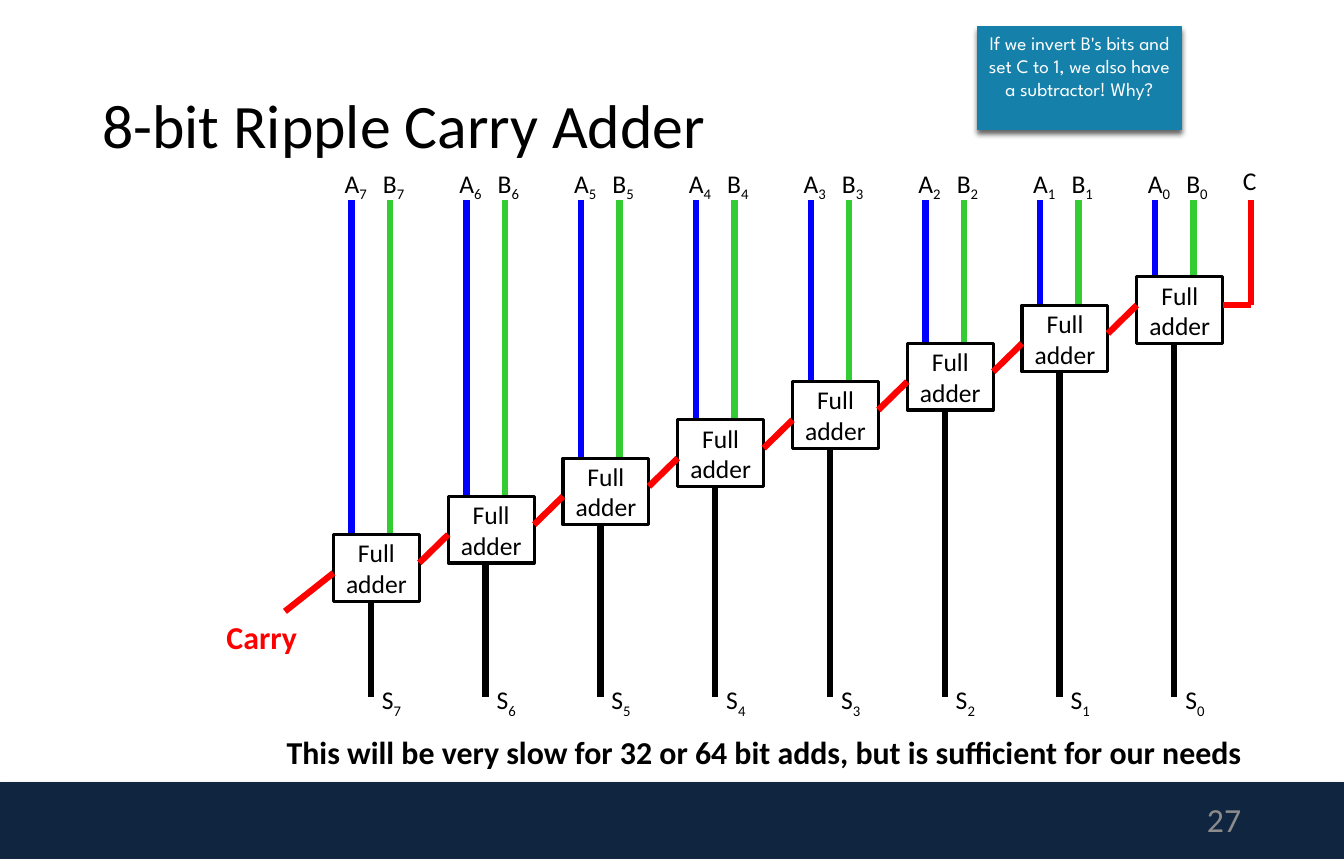
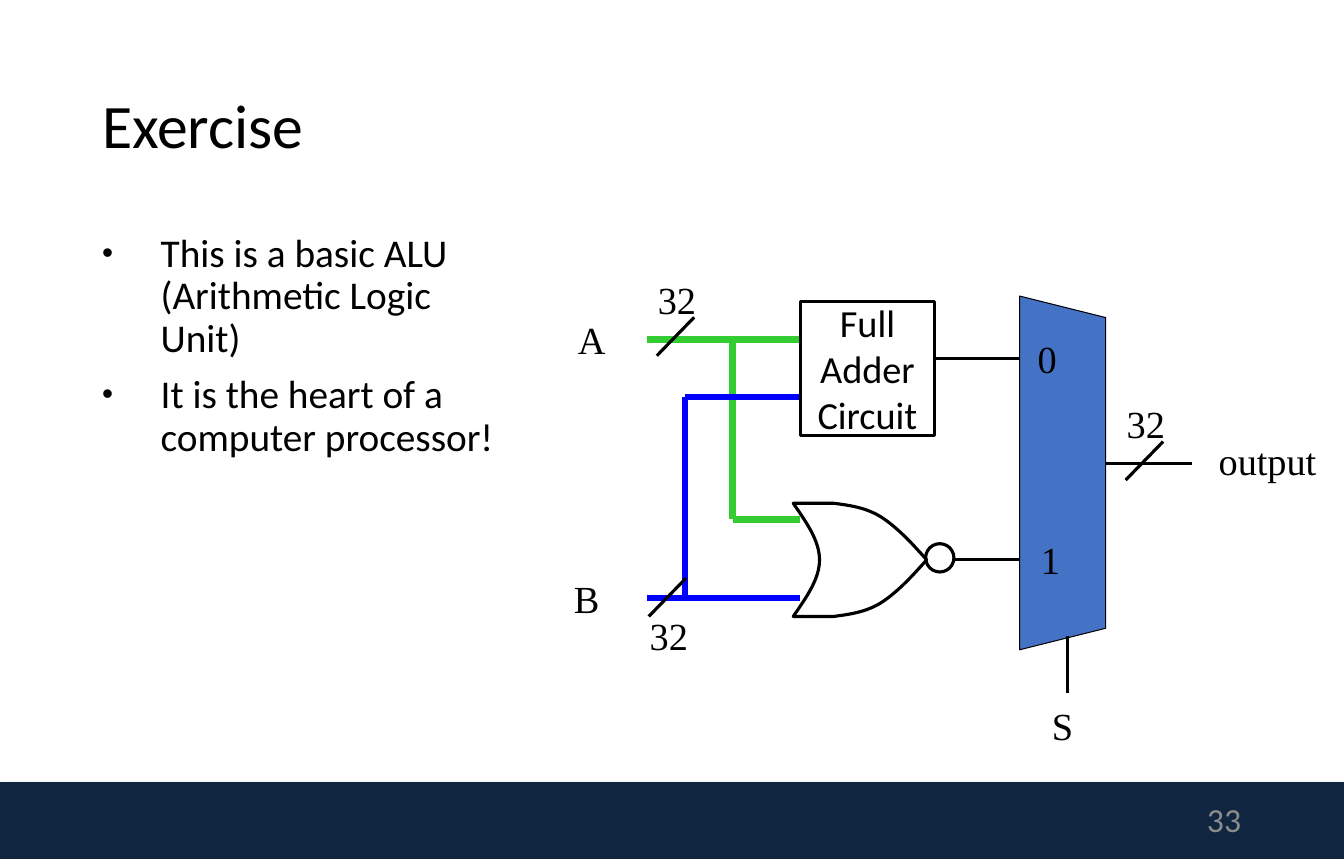
from dataclasses import dataclass
from typing import Any

from lxml import etree
from pptx import Presentation
from pptx.dml.color import RGBColor
from pptx.enum.shapes import MSO_CONNECTOR, MSO_SHAPE
from pptx.enum.text import MSO_ANCHOR, MSO_AUTO_SIZE, PP_ALIGN
from pptx.oxml.ns import qn
from pptx.util import Inches, Pt

STRAIGHT = MSO_CONNECTOR.STRAIGHT
RECT, OVAL, TRAPEZOID = MSO_SHAPE.RECTANGLE, MSO_SHAPE.OVAL, MSO_SHAPE.TRAPEZOID
LEFT, CENTER, RIGHT = PP_ALIGN.LEFT, PP_ALIGN.CENTER, PP_ALIGN.RIGHT
TOP, MIDDLE = MSO_ANCHOR.TOP, MSO_ANCHOR.MIDDLE
NO_AUTOFIT = MSO_AUTO_SIZE.NONE

COLORS = {
    "ink": "000000", "white": "FFFFFF", "band": "10253F", "band_shadow": "808080",
    "number": "8C8C8C", "a_wire": "0000FF", "b_wire": "33CC33",
    "carry": "FF0000", "callout": "1581AA", "mux": "4472C4",
}
SANS, SERIF, CALLOUT_FONT = "Calibri", "Times New Roman", "League Spartan"
WIDTH, HEIGHT = 13.3, 8.5
BAND_TOP = 7.74
THICK, THIN, HAIR = 4.5, 2.25, 0.75
TIGHT = (0.11, 0.06)
TITLE_ONLY, TITLE_AND_BODY = 5, 1


def rgb(name):
    return RGBColor.from_string(COLORS[name])


def place(part, left, top, width, height):
    part.left, part.top = Inches(left), Inches(top)
    part.width, part.height = Inches(width), Inches(height)


def style_text(frame, size, color="ink", font=SANS, align=LEFT, anchor=TOP,
               bold=False, insets=(0.1, 0.05)):
    frame.word_wrap = True
    frame.auto_size = NO_AUTOFIT
    frame.vertical_anchor = anchor
    frame.margin_left = frame.margin_right = Inches(insets[0])
    frame.margin_top = frame.margin_bottom = Inches(insets[1])
    for paragraph in frame.paragraphs:
        paragraph.alignment = align
        for run in paragraph.runs:
            run.font.size, run.font.name, run.font.bold = Pt(size), font, bold
            run.font.color.rgb = rgb(color)


def add_shadow(shape, color, opacity, blur, distance):
    effects = shape._element.spPr.find(qn("a:effectLst"))
    shadow = etree.SubElement(effects, qn("a:outerShdw"), blurRad=str(Pt(blur)),
                              dist=str(Pt(distance)), dir="5400000", rotWithShape="0")
    shade = etree.SubElement(shadow, qn("a:srgbClr"), val=COLORS[color])
    etree.SubElement(shade, qn("a:alpha"), val=str(opacity * 1000))


def paint(shape, fill=None, line=None, weight=THIN):
    shape.shadow.inherit = False
    if fill:
        shape.fill.solid()
        shape.fill.fore_color.rgb = rgb(fill)
    else:
        shape.fill.background()
    if line:
        shape.line.color.rgb = rgb(line)
        shape.line.width = Pt(weight)
    else:
        shape.line.fill.background()


@dataclass
class Region:
    slide: Any
    left: float
    top: float
    width: float
    height: float

    def point(self, x, y):
        return Inches(self.left + x), Inches(self.top + y)

    def wire(self, color, *points, weight=THICK):
        for start, end in zip(points, points[1:]):
            segment = self.slide.shapes.add_connector(
                STRAIGHT, *self.point(*start), *self.point(*end))
            segment.line.color.rgb = rgb(color)
            segment.line.width = Pt(weight)
            etree.SubElement(segment._element.spPr, qn("a:effectLst"))

    def block(self, x, y, width, height, kind=RECT, **look):
        shape = self.slide.shapes.add_shape(
            kind, *self.point(x, y), Inches(width), Inches(height))
        paint(shape, **look)
        return shape

    def label(self, text, x, y, width, height, size, subscript=None, insets=TIGHT, **look):
        box = self.slide.shapes.add_textbox(
            *self.point(x, y), Inches(width), Inches(height))
        frame = box.text_frame
        frame.text = text
        if subscript is not None:
            index = frame.paragraphs[0].add_run()
            index.text = str(subscript)
            index._r.get_or_add_rPr().set("baseline", "-25000")
        style_text(frame, size, insets=insets, **look)


def base_slide(deck, layout, title, number):
    slide = deck.slides.add_slide(deck.slide_layouts[layout])
    page = Region(slide, 0, 0, WIDTH, HEIGHT)
    band = page.block(0, BAND_TOP, WIDTH, HEIGHT - BAND_TOP, fill="band")
    add_shadow(band, "band_shadow", 35, 3.1, 1.8)
    heading = slide.shapes.title
    place(heading, 0.91, 0.45, 11.47, 1.64)
    heading.text_frame.text = title
    style_text(heading.text_frame, 44, anchor=MIDDLE)
    heading.text_frame.paragraphs[0].line_spacing = 0.9
    page.label(str(number), 9.39, 7.88, 2.99, 0.45, 24, color="number",
               align=RIGHT, anchor=MIDDLE, insets=(0.1, 0.05))
    return slide


def ripple_adder(region):
    size, bits = 18.2, 8
    cell_width, cell_height = 0.85, 0.66
    carry_gap, wire_top = 0.28, 0.38
    pitch = (region.width - cell_width - carry_gap) / (bits - 1)
    first_top, second_top = 1.14, 1.42
    last_top = region.height - 0.95 - cell_height
    step = (last_top - second_top) / (bits - 2)
    lefts = [pitch * (bits - 1 - bit) for bit in range(bits)]
    tops = [first_top] + [second_top + step * i for i in range(bits - 1)]

    for bit, (x, y) in enumerate(zip(lefts, tops)):
        for name, color, offset in (("A", "a_wire", 0), ("B", "b_wire", 0.38)):
            region.wire(color, (x + offset + 0.18, wire_top), (x + offset + 0.18, y))
            region.label(name, x + offset, 0, 0.57, 0.42, size, subscript=bit)
        adder = region.block(x, y, cell_width, cell_height, line="ink")
        adder.text_frame.text = "Full\nadder"
        style_text(adder.text_frame, size, align=CENTER, anchor=MIDDLE, insets=TIGHT)
        sum_x = x + 0.37
        region.wire("ink", (sum_x, y + cell_height), (sum_x, region.height))
        region.label("S", sum_x, region.height - 0.19, 0.57, 0.42, size, subscript=bit)

    for right_x, x, y in zip(lefts, lefts[1:], tops[1:]):
        region.wire("carry", (right_x, y), (x + cell_width, y + carry_gap))

    region.wire("carry", (region.width, wire_top), (region.width, second_top),
                (region.width - carry_gap, second_top))
    region.label("C", region.width - 0.19, -0.03, 0.38, 0.42, size)
    region.wire("carry", (0, last_top + 0.38), (-0.48, last_top + 0.76))
    region.label("Carry", -1.18, last_top + 0.76, 0.94, 0.5, 22.7,
                 color="carry", bold=True, align=CENTER)


def callout(region, text):
    note = region.block(0, 0, region.width, region.height,
                        fill="callout", line="callout", weight=HAIR)
    add_shadow(note, "ink", 60, 4, 3)
    note.text_frame.text = text
    style_text(note.text_frame, 13.6, "white", CALLOUT_FONT, CENTER)


def bullet_list(body, items):
    frame = body.text_frame
    frame.text = "\n".join(items)
    style_text(frame, 28)
    for order, paragraph in enumerate(frame.paragraphs):
        paragraph.line_spacing = 0.9
        paragraph.space_before = Pt(10 if order else 0)
        props = paragraph._p.get_or_add_pPr()
        props.set("marL", str(Inches(0.58)))
        props.set("indent", str(-Inches(0.58)))
        etree.SubElement(props, qn("a:buSzPct"), val="80000")
        etree.SubElement(props, qn("a:buChar"), char="•")


def bezier(start, control_1, control_2, end, steps=16):
    curve = []
    for i in range(1, steps + 1):
        t = i / steps
        weights = ((1 - t) ** 3, 3 * t * (1 - t) ** 2, 3 * t * t * (1 - t), t ** 3)
        curve.append(tuple(
            sum(w * p[axis] for w, p in zip(weights, (start, control_1, control_2, end)))
            for axis in (0, 1)))
    return curve


def nor_gate(region):
    right, bottom = region.width, region.height
    middle = bottom / 2
    upper = [(0.4, 0)]
    upper += bezier((0.4, 0), (0.55, 0.02), (0.71, 0.04), (0.86, 0.13))
    upper += bezier((0.86, 0.13), (1.02, 0.23), (1.17, 0.39), (right, middle))
    lower = [(x, bottom - y) for x, y in reversed(upper)]
    back = bezier((0, bottom), (0.13, bottom - 0.19), (0.26, bottom - 0.37), (0.26, middle))
    back += bezier((0.26, middle), (0.26, 0.37), (0.13, 0.19), (0, 0))
    outline = region.slide.shapes.build_freeform(*region.point(0, 0))
    outline.add_line_segments(
        [region.point(*p) for p in upper + lower + [(0, bottom)] + back], close=True)
    paint(outline.convert_to_shape(), line="ink")
    region.block(right - 0.01, middle - 0.16, 0.28, 0.28, OVAL, line="ink")


def alu_circuit(region):
    input_x, gate_x, mux_x = 0.83, 2.35, 4.52
    a_y, b_y, a_tap, b_tap = 0.69, 3.25, 1.68, 1.21
    region.wire("b_wire", (input_x, a_y), (gate_x, a_y))
    region.wire("b_wire", (a_tap, a_y), (a_tap, 2.47), (gate_x, 2.47))
    region.wire("a_wire", (input_x, b_y), (gate_x, b_y))
    region.wire("a_wire", (b_tap, b_y), (b_tap, 1.26), (gate_x, 1.26))

    adder = region.block(gate_x, 0.31, 1.33, 1.33, line="ink")
    adder.text_frame.text = "Full\nAdder\nCircuit"
    style_text(adder.text_frame, 27.3, align=CENTER, anchor=MIDDLE, insets=TIGHT)
    nor_gate(Region(region.slide, region.left + 2.28, region.top + 2.31, 1.32, 1.12))

    mux_width, mux_height, mux_top = 0.85, 3.5, 0.26
    turn = (mux_height - mux_width) / 2
    mux = region.block(mux_x - turn, mux_top + turn, mux_height, mux_width,
                       TRAPEZOID, fill="mux", line="ink", weight=HAIR)
    mux.adjustments[0] = 0.25
    mux.rotation = 90

    for start, end in (
        ((3.67, 0.88), (mux_x, 0.88)),
        ((3.86, 2.87), (mux_x, 2.87)),
        ((4.99, 3.62), (4.99, 4.19)),
        ((mux_x + mux_width, 1.92), (region.width - 1.5, 1.92)),
    ):
        region.wire("ink", start, end, weight=THIN)
    for x, y in ((0.93, 0.85), (0.85, 3.43), (5.57, 2.08)):
        region.wire("ink", (x, y), (x + 0.37, y - 0.38), weight=THIN)

    for text, x, y in (
        ("32", 0.83, 0), ("32", 0.75, 3.33), ("32", 5.47, 1.23),
        ("A", 0.04, 0.4), ("B", 0, 2.96), ("S", 4.73, 4.22),
        ("0", 4.59, 0.59), ("1", 4.62, 2.58), ("output", 6.38, 1.6),
    ):
        width = 1.35 if text == "output" else 0.64
        region.label(text, x, y, width, 0.57, 27.3, font=SERIF)


def adder_slide(deck):
    slide = base_slide(deck, TITLE_ONLY, "8-bit Ripple Carry Adder", 27)
    ripple_adder(Region(slide, 3.3, 1.6, 9.08, 5.3))
    summary = Region(slide, 2.54, 7.19, 10.04, 0.49)
    summary.label(
        "This will be very slow for 32 or 64 bit adds, but is sufficient for our needs",
        0, 0, summary.width, summary.height, 22.7, bold=True, align=CENTER)
    callout(Region(slide, 9.67, 0.26, 2.02, 1.02),
            "If we invert B's bits and set C to 1, we also have a subtractor! Why?")


def exercise_slide(deck):
    slide = base_slide(deck, TITLE_AND_BODY, "Exercise", 33)
    body = slide.placeholders[1]
    place(body, 0.91, 2.26, 4.09, 5.39)
    bullet_list(body, ["This is a basic ALU (Arithmetic Logic Unit)",
                       "It is the heart of a computer processor!"])
    alu_circuit(Region(slide, 5.57, 2.67, 7.73, 4.79))


def main():
    deck = Presentation()
    deck.slide_width, deck.slide_height = Inches(WIDTH), Inches(HEIGHT)
    adder_slide(deck)
    exercise_slide(deck)
    deck.save("out.pptx")


if __name__ == "__main__":
    main()
